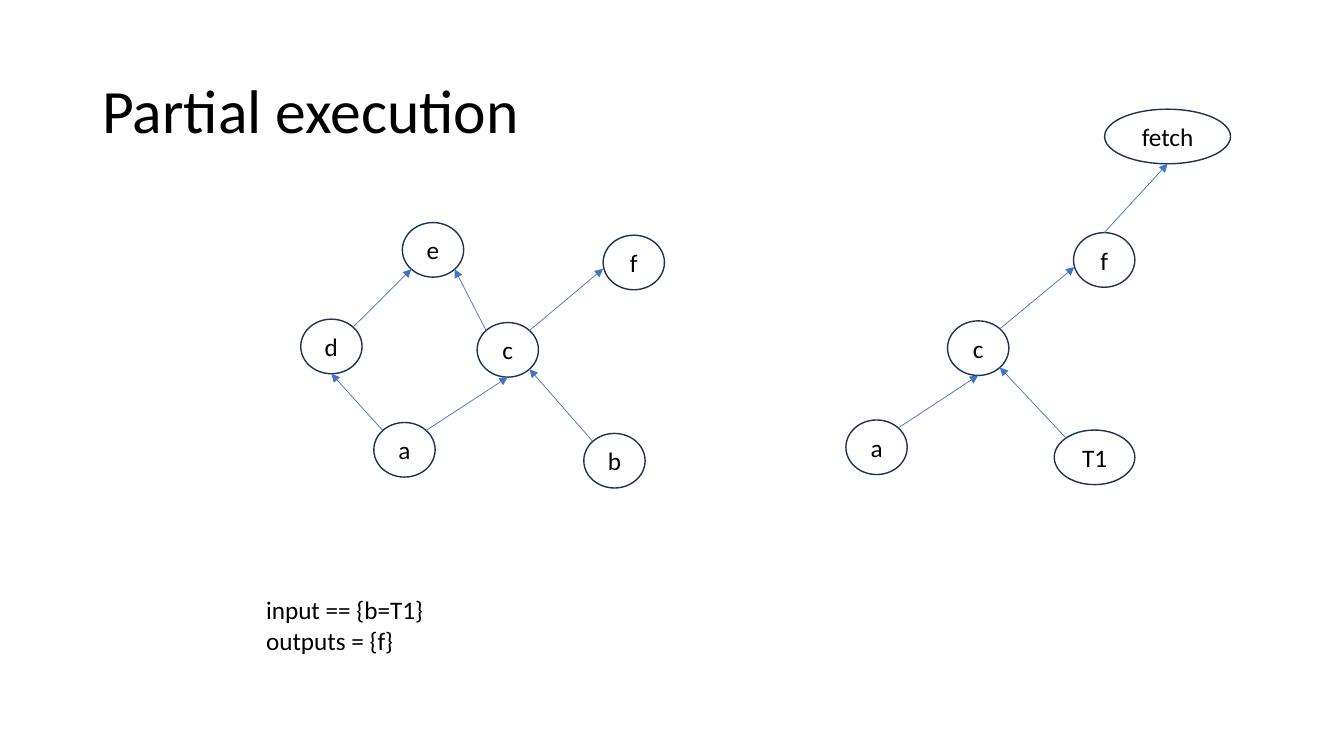
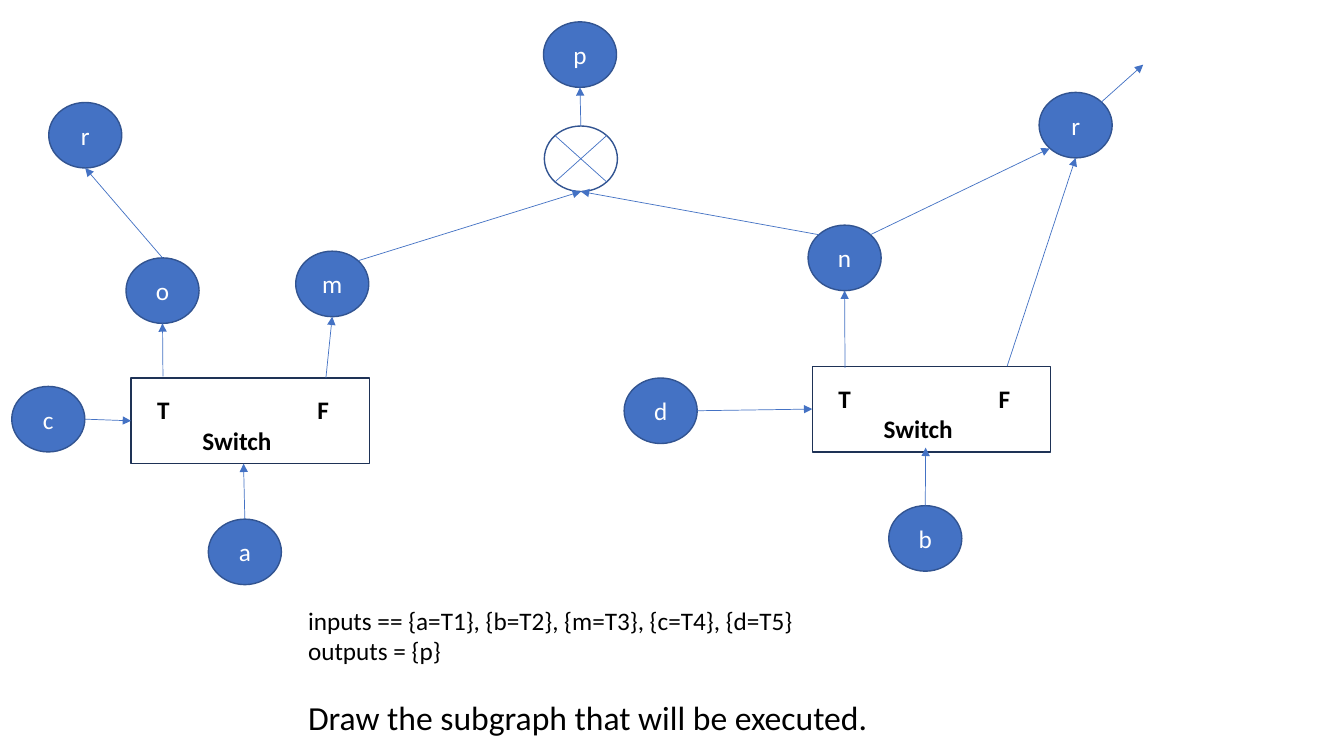
import math
from dataclasses import dataclass
from enum import IntEnum
from typing import Optional, Union

import lxml.etree
import pptx
import pptx.dml.color
import pptx.enum.shapes
import pptx.enum.text
import pptx.oxml.ns
import pptx.util

SLIDE_WIDTH = pptx.util.Inches(13.33)
SLIDE_HEIGHT = pptx.util.Inches(7.5)
COLUMNS, ROWS = 160, 90
TITLE_ONLY, BLANK = 5, 6
SHAPES = pptx.enum.shapes.MSO_SHAPE
ANCHORS = pptx.enum.text.MSO_ANCHOR
ALIGNMENTS = pptx.enum.text.PP_ALIGN


@dataclass(frozen=True)
class Theme:
    font: str = "Calibri"
    ink: str = "000000"
    paper: str = "FFFFFF"
    accent: str = "4472C4"
    accent_outline: str = "325491"
    dark_outline: str = "1E3256"
    title_size: float = 44
    prompt_size: float = 24
    body_size: float = 18
    outline_width: float = 1
    edge_width: float = 0.5


THEME = Theme()


@dataclass(frozen=True)
class NodeStyle:
    width: float
    height: float
    outline: str
    text: str
    fill: Optional[str] = None


OPEN_NODE = NodeStyle(7.3, 6.5, THEME.dark_outline, THEME.ink)
SOLID_NODE = NodeStyle(8.7, 7.8, THEME.accent_outline, THEME.paper, THEME.accent)
MERGE_NODE = NodeStyle(8.7, 7.8, THEME.accent_outline, THEME.ink)
SWITCH = NodeStyle(28.4, 10.2, THEME.dark_outline, THEME.ink)


class Side(IntEnum):
    """Connection sites of an ellipse, counterclockwise from the top."""
    TOP = 0
    TOP_LEFT = 1
    LEFT = 2
    BOTTOM_LEFT = 3
    BOTTOM = 4
    BOTTOM_RIGHT = 5
    RIGHT = 6
    TOP_RIGHT = 7


@dataclass(frozen=True)
class Box:
    column: float
    row: float
    width: float
    height: float


@dataclass(frozen=True)
class Node:
    name: str
    column: float
    row: float
    label: str
    style: NodeStyle = OPEN_NODE
    width: Optional[float] = None


@dataclass(frozen=True)
class Site:
    node: str
    side: Side


@dataclass(frozen=True)
class Point:
    column: float
    row: float


@dataclass(frozen=True)
class Edge:
    start: Union[Site, Point]
    end: Union[Site, Point]
    arrow: bool = True


@dataclass(frozen=True)
class Line:
    text: str
    size: float = THEME.body_size
    space_before: float = 0


FULL_NODES = [
    Node("e", 47.9, 26.5, "e"),
    Node("d", 35.8, 38, "d"),
    Node("c", 56.8, 38.4, "c"),
    Node("a", 44.5, 50.3, "a"),
    Node("b", 69.5, 51.6, "b"),
    Node("f", 71.8, 28, "f"),
]
FULL_EDGES = [
    Edge(Site("a", Side.TOP_RIGHT), Site("c", Side.BOTTOM)),
    Edge(Site("a", Side.TOP_LEFT), Site("d", Side.BOTTOM)),
    Edge(Site("d", Side.TOP_RIGHT), Site("e", Side.BOTTOM_LEFT)),
    Edge(Site("c", Side.TOP_LEFT), Site("e", Side.BOTTOM_RIGHT)),
    Edge(Site("c", Side.TOP_RIGHT), Point(71.8, 32)),
    Edge(Site("b", Side.TOP_LEFT), Site("c", Side.BOTTOM_RIGHT)),
]
PARTIAL_NODES = [
    Node("c", 112.8, 38.2, "c"),
    Node("a", 100.7, 50, "a"),
    Node("T1", 125.5, 51.2, "T1", width=9.6),
    Node("f", 127.8, 27.7, "f"),
    Node("fetch", 131.5, 13, "fetch", width=15),
]
PARTIAL_EDGES = [
    Edge(Site("a", Side.TOP_RIGHT), Site("c", Side.BOTTOM)),
    Edge(Site("c", Side.TOP_RIGHT), Point(127.9, 31.8)),
    Edge(Site("T1", Side.TOP_LEFT), Site("c", Side.BOTTOM_RIGHT)),
    Edge(Site("f", Side.TOP), Site("fetch", Side.BOTTOM)),
]
SWITCH_NODES = [
    Node("left switch", 15.6, 45, "T\tF\nSwitch", SWITCH),
    Node("right switch", 96.7, 43.6, "T\tF\nSwitch", SWITCH),
    Node("merge", 64.8, 15, "", MERGE_NODE),
    Node("a", 24.8, 61.8, "a", SOLID_NODE),
    Node("b", 105.8, 60.2, "b", SOLID_NODE),
    Node("c", 1.4, 46, "c", SOLID_NODE),
    Node("d", 74.3, 45, "d", SOLID_NODE),
    Node("m", 35.2, 29.9, "m", SOLID_NODE),
    Node("n", 96.2, 26.8, "n", SOLID_NODE),
    Node("o", 15, 30.7, "o", SOLID_NODE),
    Node("p", 64.7, 2.6, "p", SOLID_NODE),
    Node("left r", 5.8, 12.2, "r", SOLID_NODE),
    Node("right r", 123.7, 11, "r", SOLID_NODE),
]
SWITCH_EDGES = [
    Edge(Site("a", Side.TOP), Point(29, 55.2)),
    Edge(Site("b", Side.TOP), Point(110.2, 53.3)),
    Edge(Site("c", Side.RIGHT), Site("left switch", Side.LEFT)),
    Edge(Site("d", Side.RIGHT), Site("right switch", Side.LEFT)),
    Edge(Point(19.4, 44.8), Site("o", Side.BOTTOM)),
    Edge(Point(38.8, 45), Site("m", Side.BOTTOM)),
    Edge(Point(100.6, 43.8), Site("n", Side.BOTTOM)),
    Edge(Point(119.9, 43.6), Site("right r", Side.BOTTOM)),
    Edge(Site("o", Side.TOP), Site("left r", Side.BOTTOM)),
    Edge(Site("m", Side.TOP_RIGHT), Site("merge", Side.BOTTOM)),
    Edge(Site("n", Side.TOP_LEFT), Site("merge", Side.BOTTOM)),
    Edge(Site("n", Side.TOP_RIGHT), Site("right r", Side.BOTTOM_LEFT)),
    Edge(Site("merge", Side.TOP), Site("p", Side.BOTTOM)),
    Edge(Site("right r", Side.TOP_RIGHT), Point(136.1, 7.7)),
    Edge(Site("merge", Side.TOP_LEFT), Site("merge", Side.BOTTOM_RIGHT), arrow=False),
    Edge(Site("merge", Side.BOTTOM_LEFT), Site("merge", Side.TOP_RIGHT), arrow=False),
]


def across(columns: float) -> int:
    return round(SLIDE_WIDTH * columns / COLUMNS)


def down(rows: float) -> int:
    return round(SLIDE_HEIGHT * rows / ROWS)


def placed(box: Box) -> tuple[int, int, int, int]:
    return across(box.column), down(box.row), across(box.width), down(box.height)


def rgb(value: str) -> pptx.dml.color.RGBColor:
    return pptx.dml.color.RGBColor.from_string(value)


def format_runs(paragraph, size: float, color: str, bold: bool = False) -> None:
    for run in paragraph.runs:
        run.font.name = THEME.font
        run.font.size = pptx.util.Pt(size)
        run.font.color.rgb = rgb(color)
        run.font.bold = bold


def add_child(parent, tag: str, **attributes: str):
    child = lxml.etree.SubElement(parent, pptx.oxml.ns.qn(tag))
    for name, value in attributes.items():
        child.set(name, value)
    return child


def set_switch_text(frame) -> None:
    """Spread T and F with a tab stop and indent the caption below them."""
    frame.vertical_anchor = ANCHORS.TOP
    frame.margin_left, frame.margin_top = across(3.1), down(2)
    outputs, caption = frame.paragraphs
    tabs = add_child(outputs._p.get_or_add_pPr(), "a:tabLst")
    add_child(tabs, "a:tab", pos=str(across(19.1)), algn="l")
    caption._p.get_or_add_pPr().set("marL", str(across(5.4)))


def draw_node(slide, node: Node):
    style = node.style
    is_switch = style is SWITCH
    box = Box(node.column, node.row, node.width or style.width, style.height)
    shape = slide.shapes.add_shape(SHAPES.RECTANGLE if is_switch else SHAPES.OVAL, *placed(box))
    shape.shadow.inherit = False
    shape.line.color.rgb = rgb(style.outline)
    shape.line.width = pptx.util.Pt(THEME.outline_width)
    if style.fill:
        shape.fill.solid()
        shape.fill.fore_color.rgb = rgb(style.fill)
    else:
        shape.fill.background()
    frame = shape.text_frame
    frame.text = node.label
    frame.vertical_anchor = ANCHORS.MIDDLE
    if is_switch:
        set_switch_text(frame)
    for paragraph in frame.paragraphs:
        paragraph.alignment = ALIGNMENTS.LEFT if is_switch else ALIGNMENTS.CENTER
        format_runs(paragraph, THEME.body_size, style.text, bold=is_switch)
    return shape


def locate(end: Union[Site, Point], shapes: dict) -> tuple[int, int]:
    if isinstance(end, Point):
        return across(end.column), down(end.row)
    shape, angle = shapes[end.node], end.side * math.pi / 4
    return (round(shape.left + shape.width * (1 - math.sin(angle)) / 2),
            round(shape.top + shape.height * (1 - math.cos(angle)) / 2))


def draw_edge(slide, edge: Edge, shapes: dict) -> None:
    connector = slide.shapes.add_connector(
        pptx.enum.shapes.MSO_CONNECTOR.STRAIGHT,
        *locate(edge.start, shapes), *locate(edge.end, shapes))
    connector.line.color.rgb = rgb(THEME.accent)
    connector.line.width = pptx.util.Pt(THEME.edge_width)
    if edge.arrow:
        add_child(connector.line._get_or_add_ln(), "a:tailEnd", type="triangle")
    add_child(connector._element.spPr, "a:effectLst")
    links = connector._element.nvCxnSpPr.cNvCxnSpPr
    for tag, end in (("a:stCxn", edge.start), ("a:endCxn", edge.end)):
        if isinstance(end, Site):
            shape = shapes[end.node]
            is_oval = shape.auto_shape_type == SHAPES.OVAL
            index = int(end.side) if is_oval else end.side // 2
            add_child(links, tag, id=str(shape.shape_id), idx=str(index))


def draw_graph(slide, nodes: list[Node], edges: list[Edge]) -> None:
    shapes = {node.name: draw_node(slide, node) for node in nodes}
    for edge in edges:
        draw_edge(slide, edge, shapes)


def draw_notes(slide, box: Box, lines: list[Line]) -> None:
    frame = slide.shapes.add_textbox(*placed(box)).text_frame
    frame.word_wrap = True
    frame.text = "\n".join(line.text for line in lines)
    for paragraph, line in zip(frame.paragraphs, lines):
        if line.space_before:
            paragraph.space_before = pptx.util.Pt(line.space_before)
        format_runs(paragraph, line.size, THEME.ink)


def set_title(slide, text: str) -> None:
    title = slide.shapes.title
    title.left, title.top, title.width, title.height = placed(Box(11, 4.8, 138, 17.4))
    title.text_frame.text = text
    title.text_frame.vertical_anchor = ANCHORS.MIDDLE
    paragraph = title.text_frame.paragraphs[0]
    paragraph.alignment = ALIGNMENTS.LEFT
    paragraph.line_spacing = 0.9
    format_runs(paragraph, THEME.title_size, THEME.ink)


def main() -> None:
    presentation = pptx.Presentation()
    presentation.slide_width, presentation.slide_height = SLIDE_WIDTH, SLIDE_HEIGHT
    layouts = presentation.slide_layouts

    slide = presentation.slides.add_slide(layouts[TITLE_ONLY])
    set_title(slide, "Partial execution")
    draw_graph(slide, FULL_NODES, FULL_EDGES)
    draw_graph(slide, PARTIAL_NODES, PARTIAL_EDGES)
    draw_notes(slide, Box(30.5, 70.2, 85.8, 8.5), [Line("input == {b=T1}"), Line("outputs = {f}")])

    slide = presentation.slides.add_slide(layouts[BLANK])
    draw_graph(slide, SWITCH_NODES, SWITCH_EDGES)
    draw_notes(slide, Box(35.5, 71.5, 85.8, 16.9), [
        Line("inputs == {a=T1}, {b=T2}, {m=T3}, {c=T4}, {d=T5}"),
        Line("outputs = {p}"),
        Line("Draw the subgraph that will be executed.", THEME.prompt_size, space_before=22),
    ])
    presentation.save("out.pptx")


if __name__ == "__main__":
    main()
